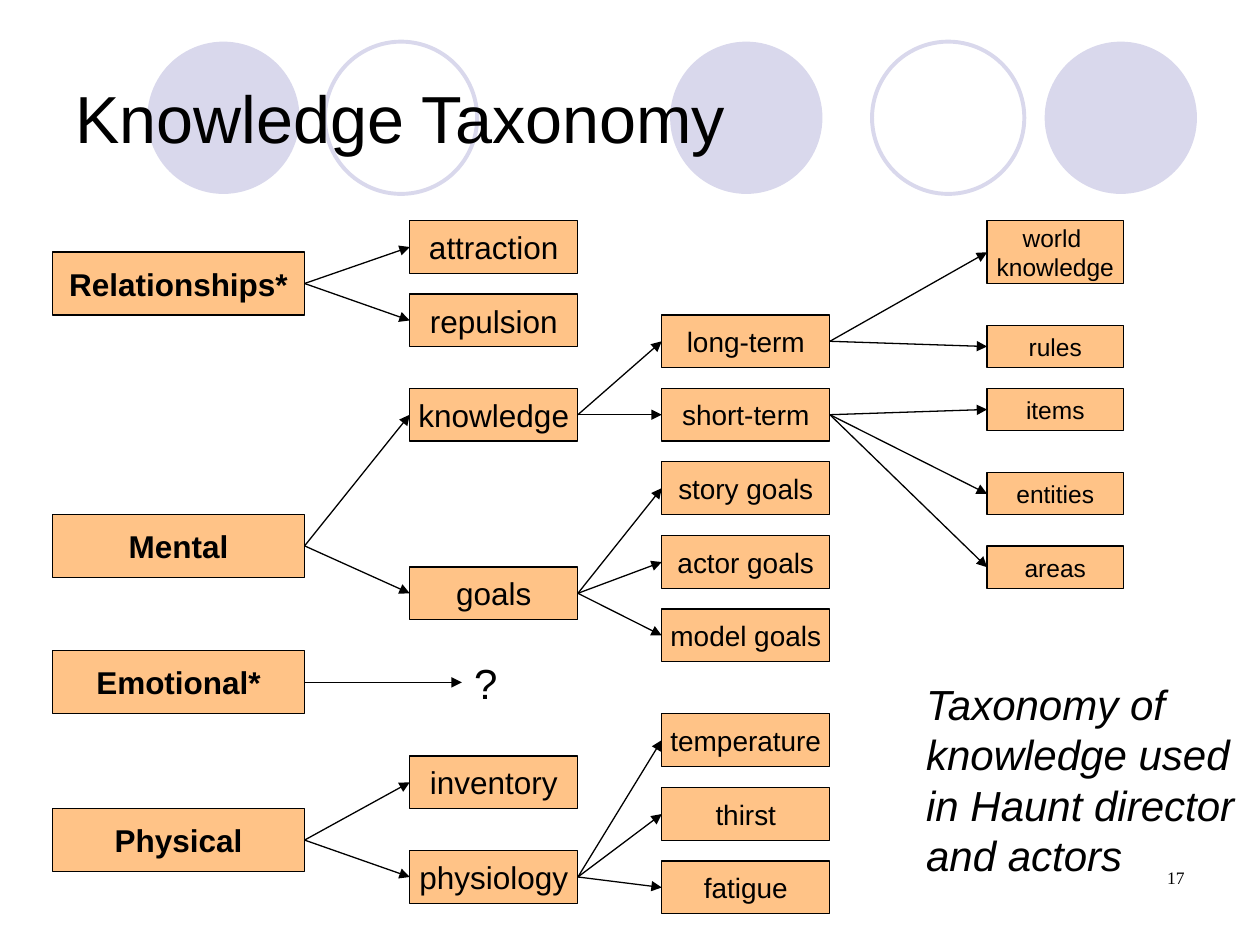
from lxml import etree
from pptx import Presentation
from pptx.dml.color import RGBColor
from pptx.enum.shapes import MSO_CONNECTOR, MSO_SHAPE
from pptx.enum.text import MSO_ANCHOR, PP_ALIGN
from pptx.oxml.ns import qn
from pptx.util import Cm, Pt

RECT, OVAL = MSO_SHAPE.RECTANGLE, MSO_SHAPE.OVAL
LINE = MSO_CONNECTOR.STRAIGHT
TOP, MIDDLE = MSO_ANCHOR.TOP, MSO_ANCHOR.MIDDLE
LEFT, CENTER, RIGHT = PP_ALIGN.LEFT, PP_ALIGN.CENTER, PP_ALIGN.RIGHT
BLACK, LILAC, ORANGE = "000000", "D9D8EC", "FF9933"

# Each level: left, width, height, font format, tops by label
LEVELS = [
    (1.06, 5.08, 1.27, {"size": Pt(18), "bold": True},
     {"Relationships*": 5.08, "Mental": 10.37, "Emotional*": 13.12, "Physical": 16.3}),
    (8.26, 3.39, 1.06, {"size": Pt(18)},
     {"attraction": 4.45, "repulsion": 5.93, "knowledge": 7.83, "goals": 11.43,
      "inventory": 15.24, "physiology": 17.15}),
    (13.34, 3.39, 1.06, {"size": Pt(16)},
     {"long-term": 6.35, "short-term": 7.83, "story goals": 9.31, "actor goals": 10.8,
      "model goals": 12.28, "temperature": 14.39, "thirst": 15.88, "fatigue": 17.36}),
    (19.9, 2.75, 1.27, {"size": Pt(14)}, {"world \nknowledge": 4.45}),
    (19.9, 2.75, 0.85, {"size": Pt(14)},
     {"rules": 6.56, "items": 7.83, "entities": 9.53, "areas": 11.01}),
]
LINKS = {
    "Relationships*": ["attraction", "repulsion"],
    "Mental": ["knowledge", "goals"],
    "Emotional*": ["?"],
    "Physical": ["inventory", "physiology"],
    "knowledge": ["long-term", "short-term"],
    "goals": ["story goals", "actor goals", "model goals"],
    "physiology": ["temperature", "thirst", "fatigue"],
    "long-term": ["world \nknowledge", "rules"],
    "short-term": ["items", "entities", "areas"],
}
CIRCLES = [(13.51, True), (21.06, True), (2.97, True), (17.58, False), (6.55, False)]


def color(code):
    """Turn a hex string into a colour."""
    return RGBColor.from_string(code)


def write(shape, text, font, align=LEFT, anchor=TOP, wrap=True, before=0):
    """Fill a shape with formatted text."""
    frame = shape.text_frame
    frame.text = text
    frame.word_wrap, frame.vertical_anchor = wrap, anchor
    for para in frame.paragraphs:
        para.alignment, para.space_before = align, Pt(before)
        para.font.color.rgb = color(BLACK)
        for key, value in {"name": "Arial", **font}.items():
            setattr(para.font, key, value)


def add_label(slide, box, text, font, **style):
    """Add a text box."""
    shape = slide.shapes.add_textbox(*map(Cm, box))
    write(shape, text, font, **style)
    return shape


def add_circle(slide, left, solid):
    """Add a filled or outlined circle of the header."""
    shape = slide.shapes.add_shape(OVAL, Cm(left), Cm(0.84), Cm(3.07), Cm(3.07))
    shape.shadow.inherit = False
    if solid:
        shape.fill.solid()
        shape.fill.fore_color.rgb = color(LILAC)
        shape.line.fill.background()
    else:
        shape.fill.background()
        shape.line.color.rgb, shape.line.width = color(LILAC), Pt(2.25)


def add_node(slide, box, text, font):
    """Add a translucent box with centred text."""
    shape = slide.shapes.add_shape(RECT, *map(Cm, box))
    shape.shadow.inherit = False
    shape.fill.solid()
    shape.fill.fore_color.rgb = color(ORANGE)
    tint = shape.fill._xPr.find(".//" + qn("a:srgbClr"))
    etree.SubElement(tint, qn("a:alpha"), val="59000")
    shape.line.color.rgb, shape.line.width = color(BLACK), Pt(0.75)
    write(shape, text, font, CENTER, MIDDLE, False)
    return shape


def add_arrow(slide, start, end):
    """Join the right side of one shape to the left side of another."""
    arrow = slide.shapes.add_connector(LINE, 0, 0, 0, 0)
    arrow.begin_connect(start, 3)
    arrow.end_connect(end, 1)
    arrow.line.color.rgb, arrow.line.width = color(BLACK), Pt(0.75)
    etree.SubElement(arrow.line._get_or_add_ln(), qn("a:tailEnd"), type="triangle")
    etree.SubElement(arrow._element.spPr, qn("a:effectLst"))


def main():
    """Build the taxonomy slide."""
    deck = Presentation()
    deck.slide_width, deck.slide_height = Cm(25.4), Cm(19.05)
    slide = deck.slides.add_slide(deck.slide_layouts[6])
    for left, solid in CIRCLES:
        add_circle(slide, left, solid)
    add_label(slide, (1.27, 0.76, 22.86, 3.18), "Knowledge Taxonomy",
              {"size": Pt(38)}, anchor=MIDDLE)
    nodes = {}
    for left, width, height, font, tops in LEVELS:
        for text, top in tops.items():
            nodes[text] = add_node(slide, (left, top, width, height), text, font)
    nodes["?"] = add_label(slide, (9.31, 13.12, 2.12, 1.27), "?",
                           {"size": Pt(24)}, before=15)
    for start, ends in LINKS.items():
        for end in ends:
            add_arrow(slide, nodes[start], nodes[end])
    add_label(slide, (18.42, 13.55, 6.77, 4.32),
              "Taxonomy of knowledge used in Haunt director and actors",
              {"size": Pt(24), "italic": True}, before=15)
    add_label(slide, (18.2, 17.36, 5.93, 1.27), "17",
              {"size": Pt(10), "name": "Times New Roman"}, align=RIGHT)
    deck.save("out.pptx")


if __name__ == "__main__":
    main()
